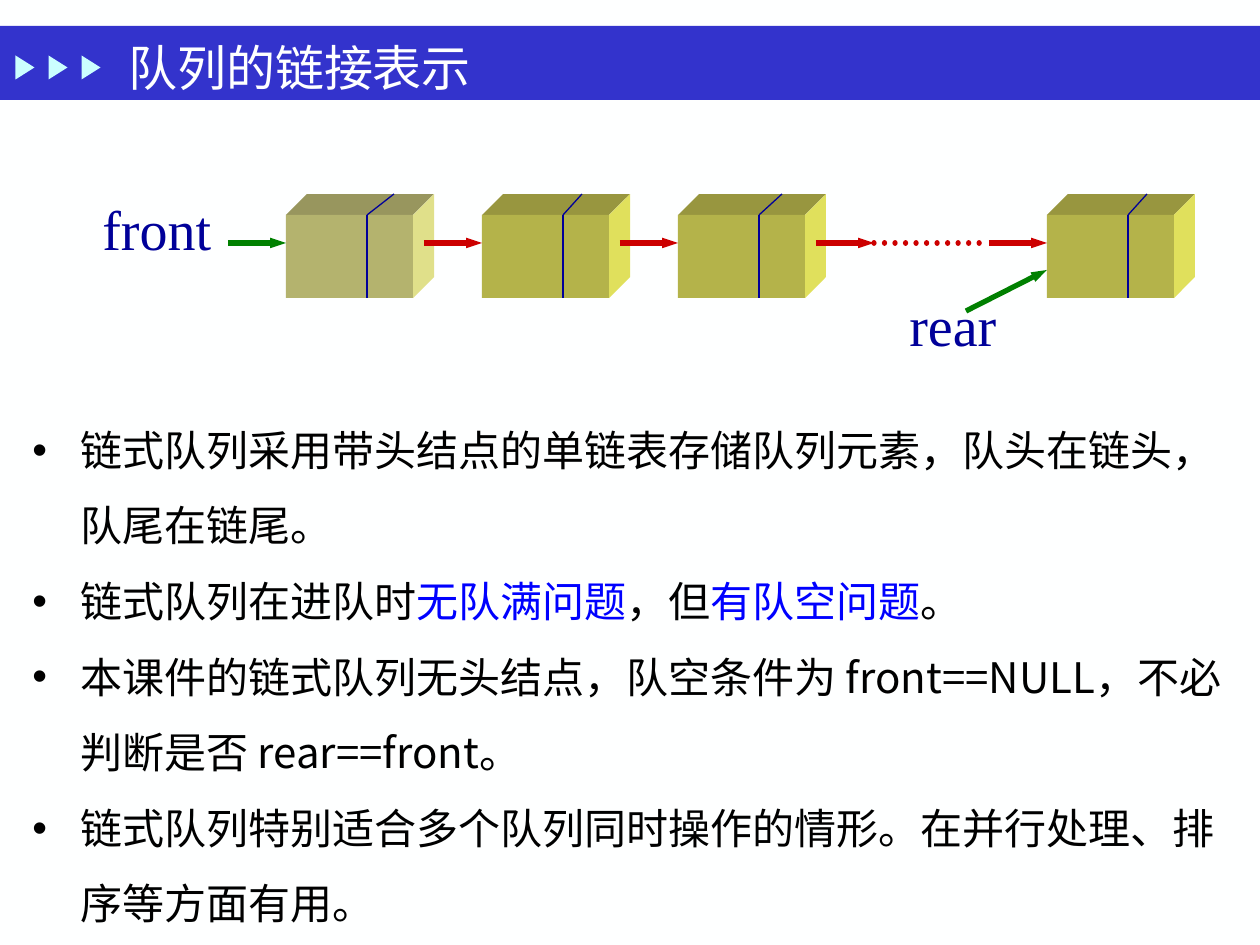
from typing import NamedTuple

from lxml.etree import SubElement
from pptx import Presentation
from pptx.dml.color import RGBColor
from pptx.enum.dml import MSO_LINE
from pptx.enum.shapes import MSO_CONNECTOR as CONN, MSO_SHAPE as SHAPE
from pptx.enum.text import MSO_ANCHOR as ANCHOR
from pptx.oxml.ns import qn
from pptx.util import Emu, Pt

SCALE = 914400 / 126  # EMU per px
C = {
    "bg": "FEFFFF", "bar": "3333CC", "mark": "CBFFFF", "black": "000000",
    "blue": "0000FF", "navy": "000099", "green": "008000", "red": "CC0000",
    "head_front": "B4B36E", "head_top": "98965E", "head_side": "E0E08A",
    "node_front": "B4B34A", "node_top": "98963F", "node_side": "E0E05C",
}
SERIF, SANS = "Times New Roman", "Noto Sans CJK SC"
TOP, BOTTOM, DEPTH, WIDTH, LINK_Y = 215, 298, 21, 127, 243
LINK = 58  # length of an arrow


class Node(NamedTuple):
    x: int
    kind: str
    slant: int  # width of the slanted divider on the top face


class Arrow(NamedTuple):
    x1: int
    y1: int
    x2: int
    y2: int
    color: str


NODES = [Node(286, "head", 27), Node(482, "node", 19),
         Node(678, "node", 23), Node(1047, "node", 19)]
ARROWS = [
    Arrow(NODES[0].x - LINK, LINK_Y, NODES[0].x, LINK_Y, "green"),
    *(Arrow(n.x - LINK, LINK_Y, n.x, LINK_Y, "red") for n in NODES[1:]),
    Arrow(816, LINK_Y, 874, LINK_Y, "red"),
    Arrow(966, 311, 1047, 270, "green"),
]
BODY = [
    [("链式队列采用带头结点的单链表存储队列元素，队头在链头，队尾在链尾。", "black")],
    [("链式队列在进队时", "black"), ("无队满问题", "blue"), ("，但", "black"),
     ("有队空问题", "blue"), ("。", "black")],
    [("本课件的链式队列无头结点，队空条件为 front==NULL，不必判断是否 rear==front。", "black")],
    [("链式队列特别适合多个队列同时操作的情形。在并行处理、排序等方面有用。", "black")],
]


def px(n: int) -> Emu:
    return Emu(round(n * SCALE))


def rgb(name: str) -> RGBColor:
    return RGBColor.from_string(C[name])


def paint(sp, color: str):
    sp.shadow.inherit = False
    sp.fill.solid()
    sp.fill.fore_color.rgb = rgb(color)
    sp.line.fill.background()
    return sp


def shape(s, kind, x: int, y: int, w: int, h: int, color: str):
    return paint(s.shapes.add_shape(kind, px(x), px(y), px(w), px(h)), color)


def polygon(s, points: list, color: str):
    fb = s.shapes.build_freeform(*points[0], scale=SCALE)
    fb.add_line_segments(points[1:], close=True)
    return paint(fb.convert_to_shape(), color)


def line(s, x1: int, y1: int, x2: int, y2: int, color: str, width: float):
    cn = s.shapes.add_connector(CONN.STRAIGHT, px(x1), px(y1), px(x2), px(y2))
    cn.line.color.rgb = rgb(color)
    cn.line.width = Pt(width)
    SubElement(cn._element.spPr, qn("a:effectLst"))
    return cn


def arrow(s, a: Arrow):
    cn = line(s, *a, 3)
    SubElement(cn.line._get_or_add_ln(), qn("a:tailEnd"),
               type="triangle", w="sm", len="med")


def node(s, n: Node):
    right, mid = n.x + WIDTH, n.x + 81
    back, far = TOP - DEPTH, n.x + WIDTH + DEPTH
    polygon(s, [(n.x, TOP), (n.x + DEPTH, back), (far, back), (right, TOP)], n.kind + "_top")
    polygon(s, [(right, TOP), (far, back), (far, BOTTOM - DEPTH), (right, BOTTOM)],
            n.kind + "_side")
    shape(s, SHAPE.RECTANGLE, n.x, TOP, WIDTH, BOTTOM - TOP, n.kind + "_front")
    line(s, mid, TOP, mid, BOTTOM, "navy", 0.75)
    line(s, mid, TOP, mid + n.slant, back, "navy", 0.75)


def add_run(p, text: str, size: int, font: str, color: str):
    r = p.add_run()
    r.text = text
    r.font.size = Pt(size)
    r.font.name = font
    r.font.color.rgb = rgb(color)
    SubElement(r._r.get_or_add_rPr(), qn("a:ea"), typeface=SANS)


def text_box(s, x: int, y: int, w: int, h: int, wrap: bool = True):
    tf = s.shapes.add_textbox(px(x), px(y), px(w), px(h)).text_frame
    tf.word_wrap = wrap
    return tf


def bullet(p):
    p.line_spacing = 1.5
    pPr = p._p.get_or_add_pPr()
    pPr.set("marL", str(px(48)))
    pPr.set("indent", str(-px(48)))
    SubElement(pPr, qn("a:buFont"), typeface="Arial")
    SubElement(pPr, qn("a:buChar"), char="•")


def main():
    prs = Presentation()
    prs.slide_width, prs.slide_height = px(1260), px(945)
    s = prs.slides.add_slide(prs.slide_layouts[6])
    s.background.fill.solid()
    s.background.fill.fore_color.rgb = rgb("bg")

    # Title bar
    shape(s, SHAPE.RECTANGLE, 0, 26, 1260, 74, "bar")
    for i in range(3):
        shape(s, SHAPE.ISOSCELES_TRIANGLE, 13 + 33 * i, 58, 24, 19, "mark").rotation = 90
    tf = text_box(s, 116, 35, 882, 63)
    tf.vertical_anchor = ANCHOR.MIDDLE
    add_run(tf.paragraphs[0], "队列的链接表示", 28, SERIF, "bg")

    # Linked queue
    for n in NODES:
        node(s, n)
    for a in ARROWS:
        arrow(s, a)
    dots = line(s, 874, LINK_Y, 989, LINK_Y, "red", 3)
    dots.line.dash_style = MSO_LINE.ROUND_DOT
    dots.line._get_or_add_ln().set("cap", "rnd")
    for label, x, y, w in [("front", 90, 188, 139), ("rear", 897, 284, 116)]:
        tf = text_box(s, x, y, w, 81, wrap=False)
        add_run(tf.paragraphs[0], label, 32, SERIF, "navy")

    # Notes on the queue
    tf = text_box(s, 20, 393, 1221, 538)
    for i, runs in enumerate(BODY):
        p = tf.add_paragraph() if i else tf.paragraphs[0]
        bullet(p)
        for text, color in runs:
            add_run(p, text, 24, SANS, color)

    prs.save("out.pptx")


if __name__ == "__main__":
    main()
